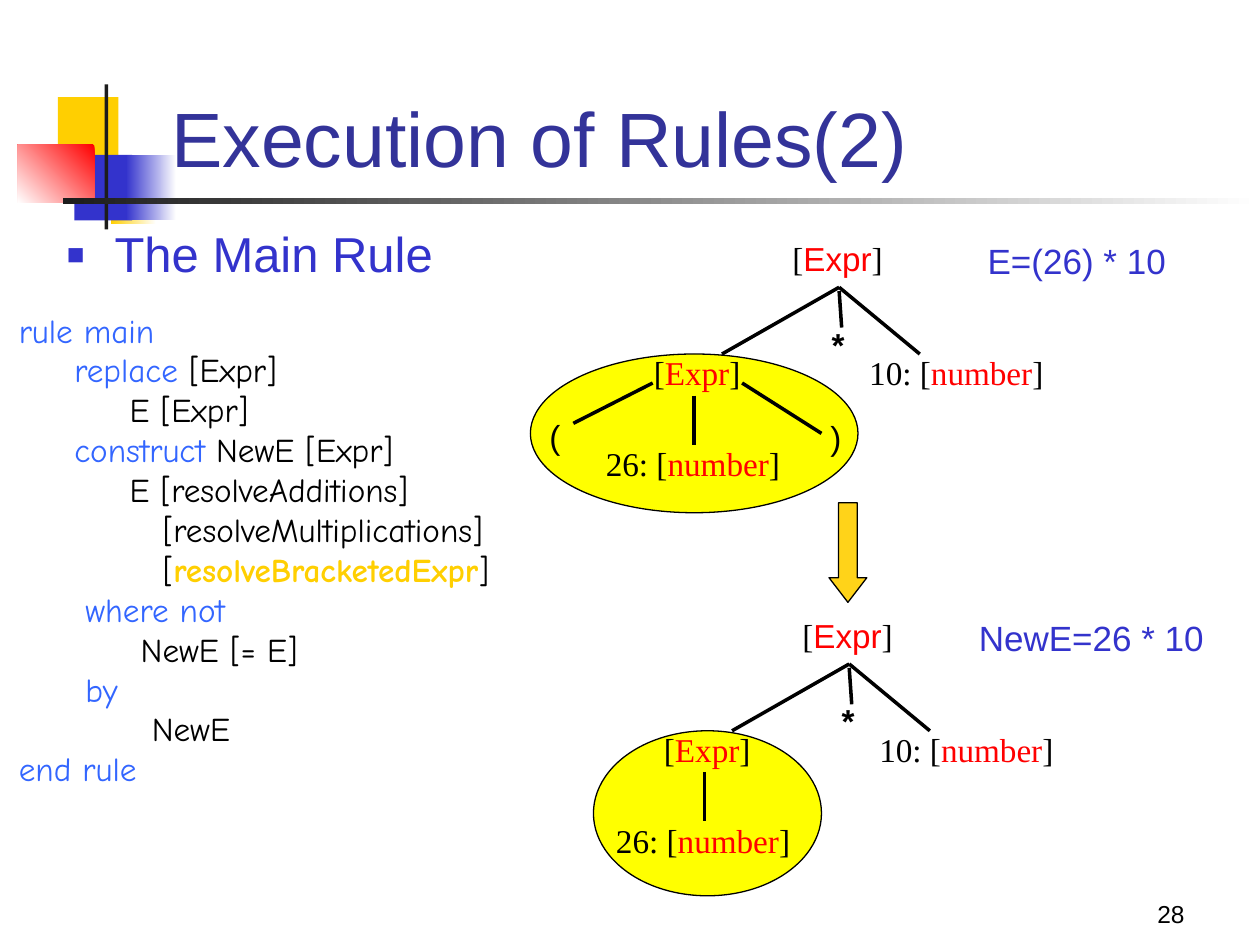
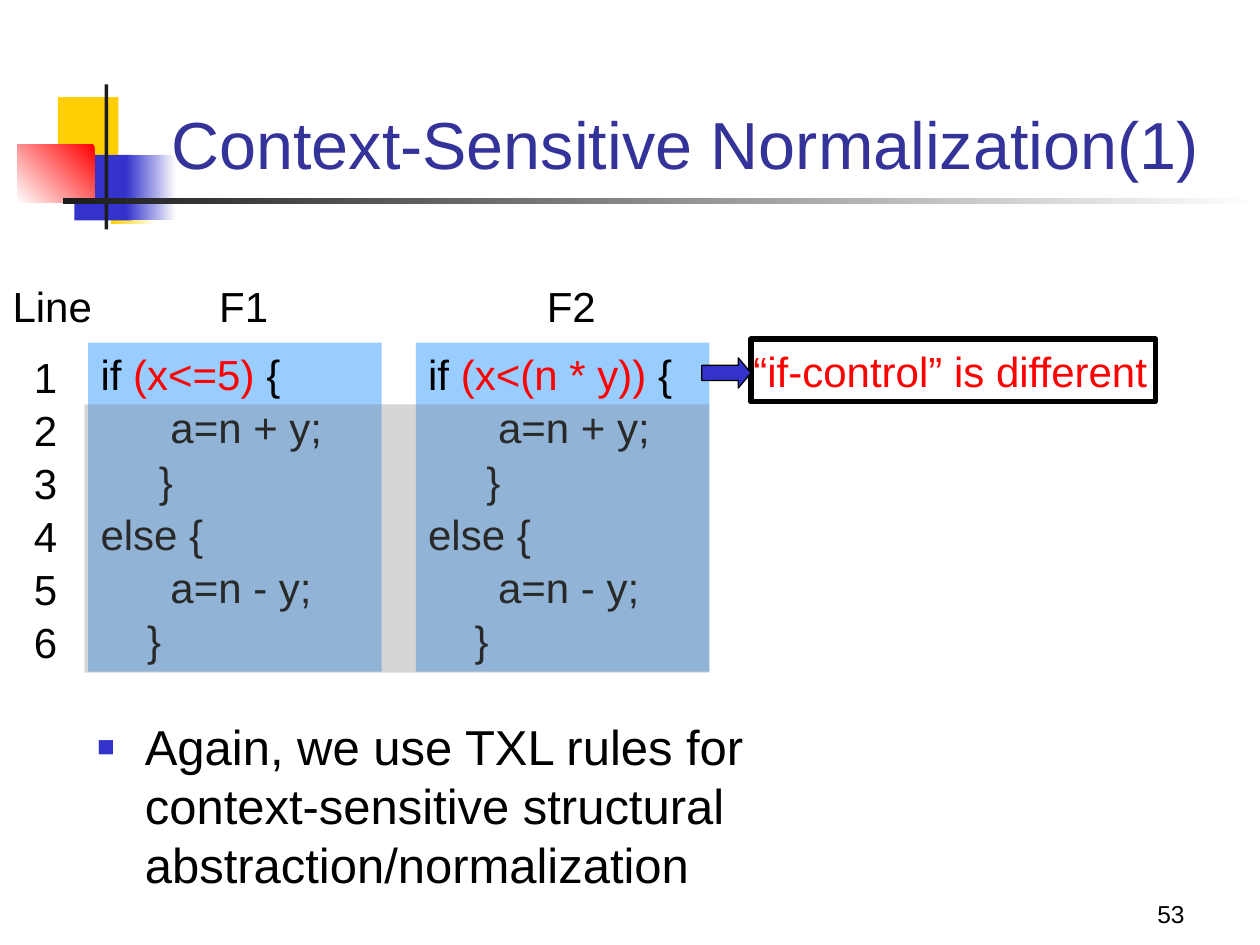
import pptx
import pptx.dml.color
import pptx.enum.shapes
import pptx.enum.text
import pptx.oxml
import pptx.oxml.ns
import pptx.util
from lxml import etree

Inches, Pt = pptx.util.Inches, pptx.util.Pt
RGB = pptx.dml.color.RGBColor.from_string
SHAPE = pptx.enum.shapes.MSO_SHAPE
ANCHOR = pptx.enum.text.MSO_ANCHOR
ALIGN = pptx.enum.text.PP_ALIGN
qn = pptx.oxml.ns.qn

COLORS = {
    "white": "FFFFFF", "black": "000000", "ink": "1C1C1C", "gray": "808080",
    "gold": "FFCF01", "amber": "FFD319", "yellow": "FFFF00", "red": "FF0000",
    "blue": "3333CC", "title": "333399", "keyword": "3366FF", "code": "99CCFF",
}
SERIF = "Times New Roman"


def add_shape(shapes, kind, box, fill=None, line=None, width=0.75):
    """Add a flat shape; fill is a colour name or (start, end, angle)."""
    sp = shapes.add_shape(kind, *map(Inches, box))
    sp.shadow.inherit = False
    if fill is None:
        sp.fill.background()
    elif isinstance(fill, tuple):
        sp.fill.gradient()
        sp.fill.gradient_angle = fill[2]
        for stop, name in zip(sp.fill.gradient_stops, fill):
            stop.color.rgb = RGB(COLORS[name])
    else:
        sp.fill.solid()
        sp.fill.fore_color.rgb = RGB(COLORS[fill])
    if line:
        sp.line.color.rgb = RGB(COLORS[line])
        sp.line.width = Pt(width)
    else:
        sp.line.fill.background()
    return sp


def write(sp, lines, size, font="Arial", inset=0.1, inset_y=0.05, space=0,
          anchor=ANCHOR.TOP, align=ALIGN.LEFT, wrap=True):
    """Fill a shape with lines, each a list of (text, colour[, font formats])."""
    tf = sp.text_frame
    frame = {"word_wrap": wrap, "vertical_anchor": anchor,
             "auto_size": pptx.enum.text.MSO_AUTO_SIZE.NONE,
             "margin_left": Inches(inset), "margin_right": Inches(inset),
             "margin_top": Inches(inset_y), "margin_bottom": Inches(inset_y)}
    for name, value in frame.items():
        setattr(tf, name, value)
    for i, runs in enumerate(lines):
        p = tf.add_paragraph() if i else tf.paragraphs[0]
        p.alignment = align
        p.space_before = Pt(space if i else 0)
        for text, color, *extra in runs:
            r = p.add_run()
            r.text = text
            r.font.color.rgb = RGB(COLORS[color])
            formats = {"size": Pt(size), "name": font, "bold": False}
            for name, value in (formats | (extra[0] if extra else {})).items():
                setattr(r.font, name, value)


prs = pptx.Presentation()
prs.slide_width, prs.slide_height = Inches(10), Inches(7.5)
layout = prs.slide_layouts[1]

# Shared title position, number position and text
PAGES = [
    ("Execution of Rules(2)", 44, "28", "The Main Rule", "blue",
     (0.43, 1.78, 3.39, 0.55), 0.9),
    ("Context-Sensitive Normalization(1)", 38, "53",
     "Again, we use TXL rules for context-sensitive structural "
     "abstraction/normalization", "black", (0.67, 5.64, 6.69, 1.7), 1.0),
]
BULLET = [("buClr", None), ("buSzPct", {"val": "60000"}),
          ("buFont", {"typeface": "Arial"}), ("buChar", {"char": "■"})]
slides = []
for title, title_size, number, bullet, color, body_box, spacing in PAGES:
    s = prs.slides.add_slide(layout)
    slides.append(s)
    body = s.placeholders[1]
    for sp, box in ((s.shapes.title, (1.26, 0.13, 8.52, 1.37)), (body, body_box)):
        sp.left, sp.top, sp.width, sp.height = map(Inches, box)
    write(s.shapes.title, [[(title, "title")]], title_size, anchor=ANCHOR.BOTTOM)

    p = body.text_frame.paragraphs[0]
    pPr = p._p.get_or_add_pPr()
    pPr.set("marL", str(Inches(0.38)))
    pPr.set("indent", str(-Inches(0.38)))
    for tag, attributes in BULLET:
        el = etree.SubElement(pPr, qn("a:" + tag), attributes or {})
        if tag == "buClr":
            etree.SubElement(el, qn("a:srgbClr"), val=COLORS["blue"])
    p.line_spacing = spacing
    write(body, [[(bullet, color)]], 28)

    page = s.shapes.add_textbox(*map(Inches, (7.42, 6.92, 2.08, 0.5)))
    write(page, [[(number, "black")]], 14, anchor=ANCHOR.BOTTOM, align=ALIGN.RIGHT)

# Decoration, kept on the layout so that both slides show it
DECORATION = [
    ((0.46, 0.77, 0.48, 0.52), "gold"),
    ((0.88, 1.26, 0.36, 0.52), ("white", "gold", 180)),
    ((0.59, 1.23, 0.46, 0.52), "blue"),
    ((1, 1.23, 0.4, 0.52), ("white", "blue", 180)),
    ((0.14, 1.15, 0.61, 0.46), ("red", "white", 225)),
    ((0.83, 0.67, 0.03, 1.15), "ink"),
    ((0.5, 1.57, 9.5, 0.05), ("white", "ink", 180)),
]
for box, fill in DECORATION:
    sp = add_shape(slides[0].shapes, SHAPE.RECTANGLE, box, fill)
    layout.shapes.element.append(sp.element)

# Slide 1: the main rule and its parse trees
shapes = slides[0].shapes
RULE = [
    [("rule main", "keyword")],
    [("     ", "black"), ("replace", "keyword"), (" [Expr]", "black")],
    [("          E [Expr]", "black")],
    [("     ", "black"), ("construct", "keyword"), (" NewE [Expr]", "black")],
    [("          E [resolveAdditions]", "black")],
    [("             [resolveMultiplications]", "black")],
    [("             [", "black"), ("resolveBracketedExpr", "gold", {"bold": True}),
     ("]", "black")],
    [("      ", "black"), ("where not", "keyword")],
    [("           NewE [= E]", "black")],
    [("      ", "black"), ("by", "keyword")],
    [("            NewE", "black")],
    [("end rule", "keyword")],
]
rule = shapes.add_textbox(*map(Inches, (0.15, 2.41, 4.06, 4.22)))
write(rule, RULE, 19, "Comic Neue", inset=0)

# Tree parts are placed relative to the root, where the branches meet
NODES = [  # left, top, width, text before, nonterminal, its font
    (-0.47, -0.44, 0.95, "[", "Expr", "Arial"),
    (-1.57, 0.47, 0.89, "[", "Expr", SERIF),
    (-1.95, 1.19, 1.58, "26: [", "number", SERIF),
    (0.14, 0.47, 1.58, "10: [", "number", SERIF),
]
BRANCHES = [(0, 0, -0.93, 0.53), (0, 0, 0.64, 0.53), (0, 0.03, 0.02, 0.32),
            (-1.15, 0.86, -1.15, 1.25)]
BRACKET_BRANCHES = [(-0.77, 0.76, -0.14, 1.16), (-1.48, 0.76, -2.11, 1.08)]
STAR = (-0.06, 0.29, "*", True)
BRACKETS = [(-2.3, 1.02, "(", False), (-0.07, 1.03, ")", False)]
TREES = [  # root, ellipse, label left, label, branches, symbols
    (6.66, 2.28, (4.21, 2.81, 2.6, 1.26), 7.74, "E=(26) * 10",
     BRANCHES + BRACKET_BRANCHES, [STAR] + BRACKETS),
    (6.74, 5.27, (4.71, 5.8, 1.81, 1.31), 7.67, "NewE=26 * 10",
     BRANCHES, [STAR]),
]
for x, y, ellipse, label_left, label, branches, symbols in TREES:
    add_shape(shapes, SHAPE.OVAL, ellipse, "yellow", "black")
    tb = shapes.add_textbox(*map(Inches, (label_left, y - 0.43, 2.1, 0.44)))
    write(tb, [[(label, "blue")]], 20)
    for dx, dy, width, before, name, font in NODES:
        tb = shapes.add_textbox(*map(Inches, (x + dx, y + dy, width, 0.42)))
        runs = [(before, "black"), (name, "red", {"name": font}), ("]", "black")]
        write(tb, [runs], 19, SERIF, wrap=False)
    for x1, y1, x2, y2 in branches:
        ends = map(Inches, (x + x1, y + y1, x + x2, y + y2))
        cx = shapes.add_connector(pptx.enum.shapes.MSO_CONNECTOR.STRAIGHT, *ends)
        cx.line.color.rgb = RGB(COLORS["black"])
        cx.line.width = Pt(2)
        etree.SubElement(cx.element.spPr, qn("a:effectLst"))
    for dx, dy, text, bold in symbols:
        tb = shapes.add_textbox(*map(Inches, (x + dx, y + dy, 0.47, 0.32)))
        write(tb, [[(text, "black", {"bold": bold})]], 19, inset=0, inset_y=0)

arrow = add_shape(shapes, SHAPE.DOWN_ARROW, (6.58, 3.99, 0.3, 0.79), "amber", "black")
arrow.adjustments[1] = 0.65

# Slide 2: two fragments that differ in the if-control
shapes = slides[1].shapes
for left, text in ((0.1, "Line"), (1.74, "F1"), (4.34, "F2")):
    tb = shapes.add_textbox(*map(Inches, (left, 2.18, 0.9, 0.5)))
    write(tb, [[(text, "black")]], 24, inset=0)

numbers = shapes.add_textbox(*map(Inches, (0.27, 2.74, 0.43, 2.61)))
write(numbers, [[(str(n), "black")] for n in range(1, 7)], 24, inset=0, space=1.5)

REST = ["      a=n + y;", "     }", "else {", "      a=n - y;", "    }"]
for left, condition in ((0.7, "(x<=5)"), (3.3, "(x<(n * y))")):
    sp = add_shape(shapes, SHAPE.RECTANGLE, (left, 2.72, 2.33, 2.61), "code")
    first = [("if ", "black"), (condition, "red"), (" {", "black")]
    write(sp, [first] + [[(text, "black")] for text in REST], 24, space=1.5)

shade = add_shape(shapes, SHAPE.RECTANGLE, (0.67, 3.21, 4.96, 2.13), "gray")
shade_color = shade.element.spPr.find(".//" + qn("a:srgbClr"))
etree.SubElement(shade_color, qn("a:alpha"), val="32000")

callout = add_shape(shapes, SHAPE.RECTANGLE, (5.96, 2.69, 3.21, 0.5), None, "black", 3)
write(callout, [[("“if-control” is different", "red")]], 24, inset=0.02)
arrow = add_shape(shapes, SHAPE.RIGHT_ARROW, (5.57, 2.84, 0.39, 0.24), "blue", "black")
arrow.adjustments[1] = 0.42

prs.save("out.pptx")
